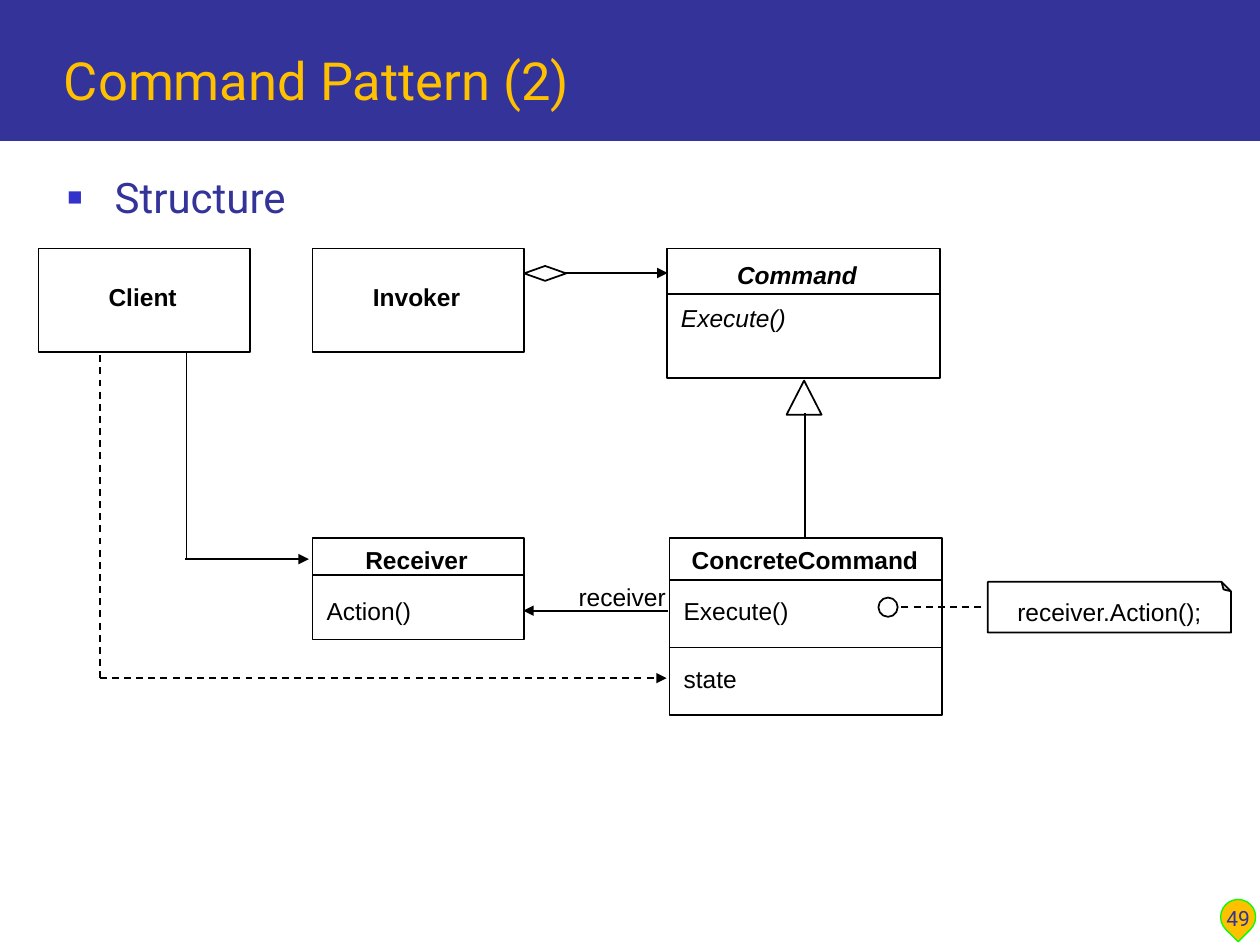
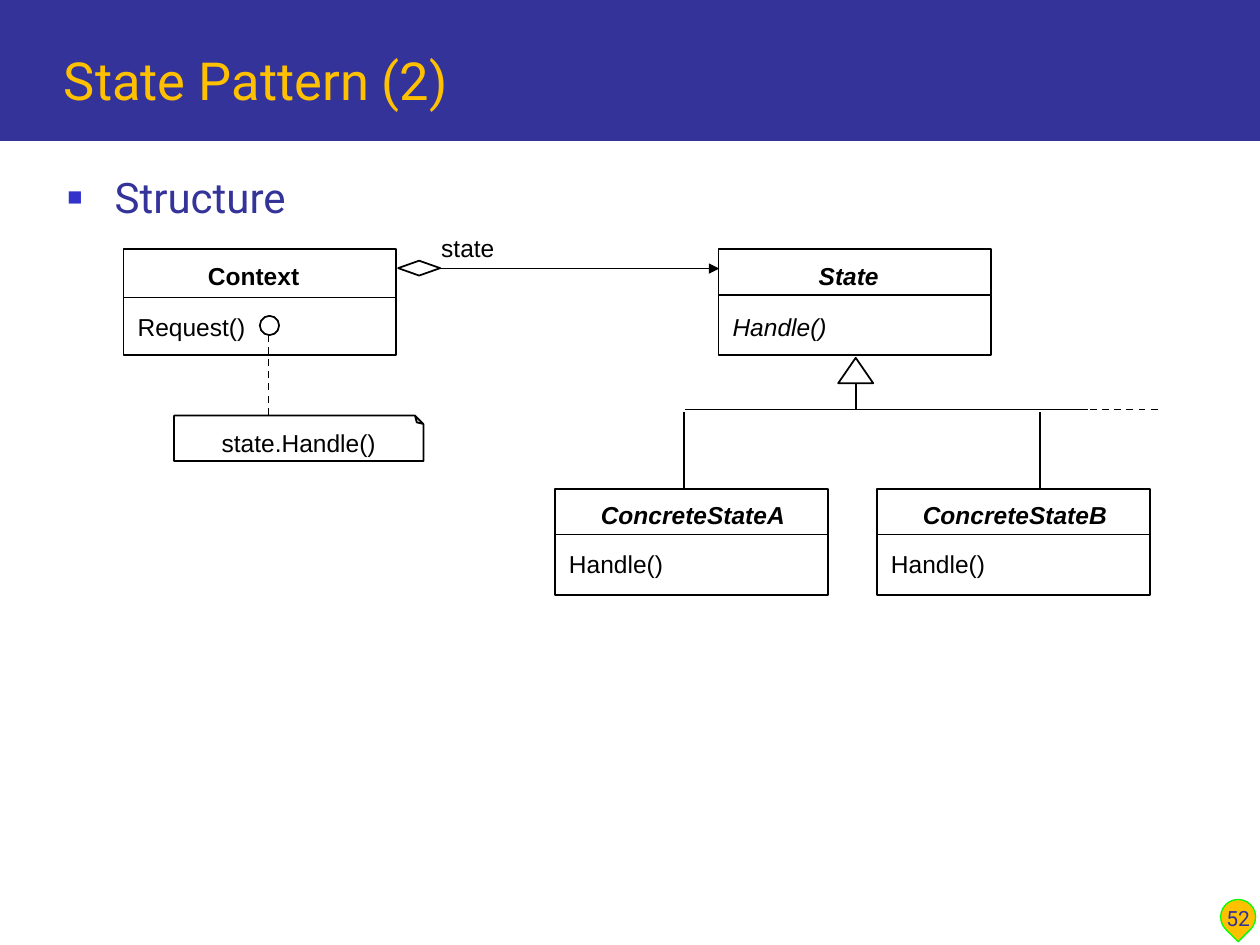
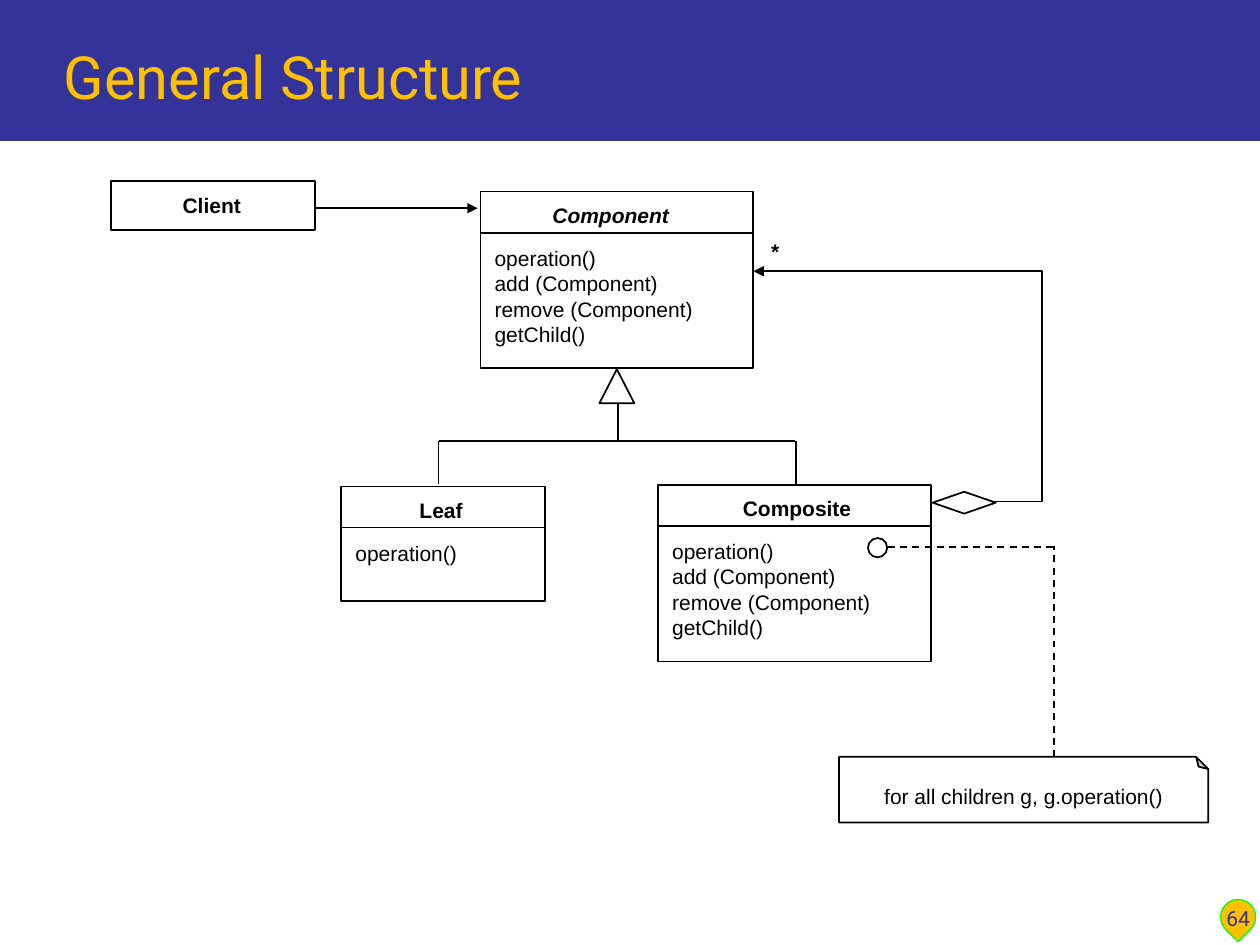
"""Build three slides of UML structure diagrams."""
from dataclasses import dataclass

from lxml.etree import SubElement
from pptx import Presentation
from pptx.dml.color import RGBColor
from pptx.enum.dml import MSO_LINE
from pptx.enum.shapes import MSO_CONNECTOR, MSO_SHAPE
from pptx.enum.text import MSO_ANCHOR, MSO_AUTO_SIZE, PP_ALIGN
from pptx.oxml.ns import qn
from pptx.util import Pt


@dataclass(frozen=True)
class Theme:
    navy: str = "333399"
    gold: str = "FFC000"
    green: str = "00FF00"
    bullet: str = "3333CC"
    black: str = "000000"
    white: str = "FFFFFF"
    head_font: str = "Roboto"
    body_font: str = "Arial"
    title: int = 30
    title_large: int = 34
    body: int = 24
    label: int = 14
    small: int = 12


T = Theme()


def rgb(value):
    return RGBColor.from_string(value)


def write(tf, text, size=T.label, font=T.body_font, color=T.black, bold=False,
          italic=False, align=PP_ALIGN.LEFT, anchor=MSO_ANCHOR.TOP, wrap=True):
    tf.word_wrap = wrap
    tf.vertical_anchor = anchor
    for i, row in enumerate(text.split("\n")):
        p = tf.add_paragraph() if i else tf.paragraphs[0]
        p.alignment = align
        r = p.add_run()
        r.text = row
        r.font.size, r.font.name = Pt(size), font
        r.font.bold, r.font.italic = bold, italic
        r.font.color.rgb = rgb(color)


class Deck:
    def __init__(self, theme):
        self.t = theme
        self.size = theme.label
        self.prs = Presentation()
        self.prs.slide_width, self.prs.slide_height = Pt(720), Pt(540)

    def slide(self, title, number, title_size=T.title, size=T.label):
        self.s = self.prs.slides.add_slide(self.prs.slide_layouts[6])
        self.size = size
        t = self.t
        self.shape(MSO_SHAPE.RECTANGLE, 0, 0, 720, 80.5, fill=t.navy, line=None)
        drop = self.shape(MSO_SHAPE.TEAR, 697.5, 514, 20, 20, fill=t.gold,
                          line=t.green, width=0.75)
        drop.rotation = 134.9
        self.text(29.5, 12, 673, 55, title, size=title_size, font=t.head_font,
                  color=t.gold, anchor=MSO_ANCHOR.BOTTOM)
        self.text(687, 499.5, 41, 36, str(number), size=t.small, font=t.head_font,
                  color=t.navy, align=PP_ALIGN.CENTER, anchor=MSO_ANCHOR.BOTTOM)

    def text(self, x, y, w, h, text, **fmt):
        tf = self.s.shapes.add_textbox(Pt(x), Pt(y), Pt(w), Pt(h)).text_frame
        write(tf, text, **fmt)
        return tf

    def label(self, x, y, w, text, **fmt):
        rows = text.count("\n") + 1
        tf = self.text(x, y, w, rows * self.size * 1.15 + 7, text, size=self.size, **fmt)
        tf.margin_left = tf.margin_right = Pt(6.6)
        tf.margin_top = tf.margin_bottom = Pt(3.4)
        tf.auto_size = MSO_AUTO_SIZE.SHAPE_TO_FIT_TEXT

    def bullet(self, text):
        tf = self.text(31.5, 94.5, 668, 389, text, size=self.t.body,
                       font=self.t.head_font, color=self.t.navy)
        pPr = tf.paragraphs[0]._p.get_or_add_pPr()
        pPr.set("marL", str(Pt(27)))
        pPr.set("indent", str(Pt(-27)))
        SubElement(SubElement(pPr, qn("a:buClr")), qn("a:srgbClr"), val=self.t.bullet)
        SubElement(pPr, qn("a:buSzPct"), val="60000")
        SubElement(pPr, qn("a:buFont"), typeface=self.t.body_font)
        SubElement(pPr, qn("a:buChar"), char="■")

    def style(self, sp, fill=None, line=T.black, width=1):
        sp.shadow.inherit = False
        if fill:
            sp.fill.solid()
            sp.fill.fore_color.rgb = rgb(fill)
        else:
            sp.fill.background()
        if line:
            sp.line.color.rgb = rgb(line)
            sp.line.width = Pt(width)
        else:
            sp.line.fill.background()
        return sp

    def shape(self, kind, x, y, w, h, **look):
        return self.style(self.s.shapes.add_shape(kind, Pt(x), Pt(y), Pt(w), Pt(h)), **look)

    def arrowhead(self, sp):
        SubElement(sp._element.spPr.find(qn("a:ln")), qn("a:tailEnd"), type="triangle")

    def line(self, x1, y1, x2, y2, dash=False, arrow=False):
        sp = self.s.shapes.add_connector(MSO_CONNECTOR.STRAIGHT, Pt(x1), Pt(y1), Pt(x2), Pt(y2))
        sp.line.color.rgb = rgb(self.t.black)
        sp.line.width = Pt(1)
        if dash:
            sp.line.dash_style = MSO_LINE.DASH
        if arrow:
            self.arrowhead(sp)
        SubElement(sp._element.spPr, qn("a:effectLst"))

    def elbow(self, *points):
        pts = [(Pt(x), Pt(y)) for x, y in points]
        fb = self.s.shapes.build_freeform(*pts[0])
        fb.add_line_segments(pts[1:], close=False)
        self.arrowhead(self.style(fb.convert_to_shape()))

    def diamond(self, x, y, w=24, h=8.5):
        self.shape(MSO_SHAPE.DIAMOND, x, y, w, h, fill=self.t.white)

    def triangle(self, x, y, h=19.5):
        self.shape(MSO_SHAPE.ISOSCELES_TRIANGLE, x, y, 20, h)

    def circle(self, x, y):
        self.shape(MSO_SHAPE.OVAL, x, y, 11, 11, fill=self.t.white)

    def note(self, x, y, w, h, text):
        sp = self.shape(MSO_SHAPE.FOLDED_CORNER, x, y, w, h, fill=self.t.white)
        spPr = sp._element.spPr
        spPr.find(qn("a:xfrm")).set("flipV", "1")
        avLst = spPr.find(qn("a:prstGeom")).get_or_add_avLst()
        SubElement(avLst, qn("a:gd"), name="adj", fmla="val 18600")
        write(sp.text_frame, text, size=self.size, align=PP_ALIGN.CENTER,
              anchor=MSO_ANCHOR.MIDDLE, wrap=False)
        sp.text_frame._txBody.bodyPr.set("rot", "10800000")

    def uml(self, x, y, w, h, name, name_at=(16.5, 3, 116), rules=(), rows=(),
            abstract=False, italic_rows=False):
        self.shape(MSO_SHAPE.RECTANGLE, x, y, w, h)
        dx, dy, name_w = name_at
        self.label(x + dx, y + dy, name_w, name, bold=True, italic=abstract,
                   align=PP_ALIGN.CENTER)
        for dy in rules:
            self.line(x, y + dy, x + w, y + dy)
        for dy, row_w, text in rows:
            self.label(x + 1.5, y + dy, row_w, text, italic=italic_rows)


d = Deck(T)

d.slide("Command Pattern (2)", 49)
d.bullet("Structure")
for x, name in ((22, "Client"), (178.5, "Invoker")):
    d.uml(x, 142, 121, 59, name, name_at=(-1, 16, 121))
d.uml(381, 142, 156, 74, "Command", rules=[26], rows=[(27.5, 173, "Execute()")],
      abstract=True, italic_rows=True)
d.uml(178.5, 307.5, 121, 58, "Receiver", name_at=(-1, 0.5, 121), rules=[21],
      rows=[(29.5, 83, "Action()")])
d.uml(382.5, 307.5, 156, 101, "ConcreteCommand", name_at=(-1, 0.5, 157),
      rules=[24, 62.5], rows=[(29.5, 173, "Execute()"), (68.5, 173, "state")])
d.line(320.5, 156, 381.5, 156, arrow=True)
d.diamond(299.5, 152)
d.triangle(449.5, 217.5)
d.line(460, 236, 460, 307)
d.line(106.5, 201, 106.5, 319.5)
d.line(106, 319.5, 176.5, 319.5, arrow=True)
d.line(57, 203, 57, 387.5, dash=True)
d.line(57, 387.5, 381, 387.5, dash=True, arrow=True)
d.line(381.5, 349, 299, 349, arrow=True)
d.label(324, 329, 83, "receiver")
d.line(595.5, 347, 513.5, 347, dash=True)
d.circle(502, 341.5)
d.note(564.5, 332.5, 139, 29, "receiver.Action();")

d.slide("State Pattern (2)", 52)
d.bullet("Structure")
d.uml(70.5, 142.5, 156, 60.5, "Context", rules=[27.5], rows=[(32.5, 132, "Request()")])
d.uml(410.5, 142.5, 156, 60.5, "State", rules=[26], rows=[(32.5, 132, "Handle()")],
      abstract=True, italic_rows=True)
for x, name, stem in ((317, "ConcreteStateA", 391), (501, "ConcreteStateB", 594.5)):
    d.uml(x, 279.5, 156, 60.5, name, name_at=(16.5, 3, 125), rules=[26],
          rows=[(31, 173, "Handle()")], abstract=True)
    d.line(stem, 235.5, stem, 279.5)
d.line(248.5, 153.5, 411, 153.5, arrow=True)
d.diamond(227.5, 149)
d.label(245.5, 129.5, 132, "state")
d.triangle(479, 204.5, 14.5)
d.line(489, 219, 489, 234)
d.line(391.5, 234, 594.5, 234)
d.line(594.5, 234, 621.5, 234)
d.line(661.5, 234, 621.5, 234, dash=True)
d.line(153.5, 237, 153.5, 181, dash=True)
d.circle(148.5, 180.5)
d.note(99.5, 237.5, 142.5, 26, "state.Handle()")

d.slide("General Structure", 64, title_size=T.title_large, size=T.small)
operations = "operation()\nadd (Component)\nremove (Component)\ngetChild()"
d.uml(63.5, 103.5, 116.5, 28, "Client", name_at=(4, 3, 107))
d.uml(274.5, 109.5, 156, 101, "Component", rules=[23.5], rows=[(27.5, 173, operations)],
      abstract=True)
d.uml(195, 278, 116.5, 65.5, "Leaf", name_at=(3.5, 3, 107), rules=[23.5],
      rows=[(27.5, 120, "operation()")])
d.uml(376, 277, 156, 101, "Composite", name_at=(21.5, 3, 116), rules=[23.5],
      rows=[(27.5, 173, operations)])
d.line(179.5, 119, 273, 119, arrow=True)
d.triangle(342.5, 211)
d.line(353, 230.5, 353, 252)
d.line(251, 252, 454.5, 252)
for x in (250.5, 455):
    d.line(x, 252, x, 276.5)
d.elbow((567.5, 286.5), (595.5, 286.5), (595.5, 155), (430.5, 155))
d.diamond(533, 281, 36, 12.5)
d.label(427.5, 133, 31, "*", bold=True, align=PP_ALIGN.CENTER)
d.line(602.5, 432.5, 602.5, 312, dash=True)
d.line(507.5, 312.5, 602.5, 312.5, dash=True)
d.circle(496, 307.5)
d.note(479.5, 432.5, 211, 37.5, "for all children g, g.operation()")

d.prs.save("out.pptx")
